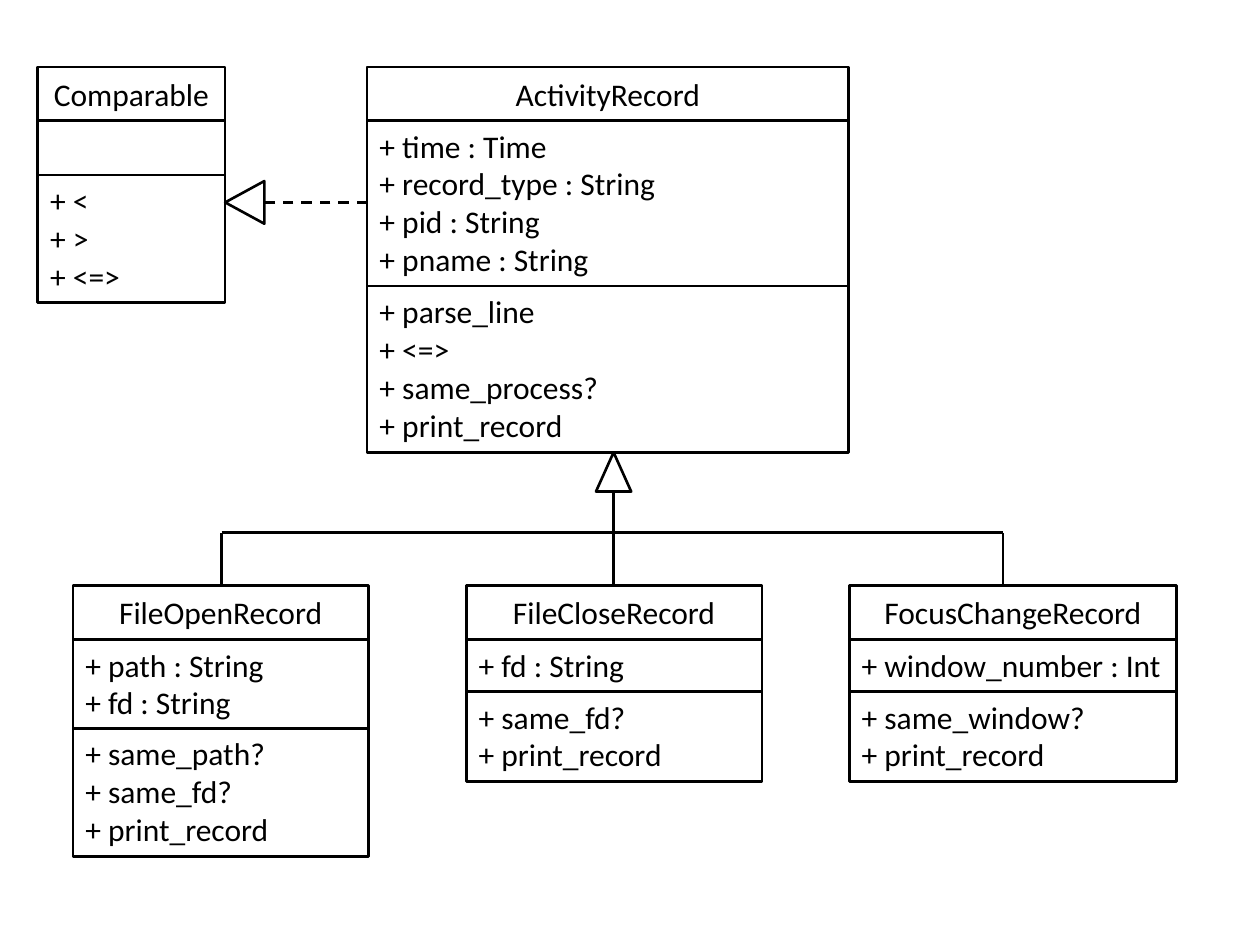
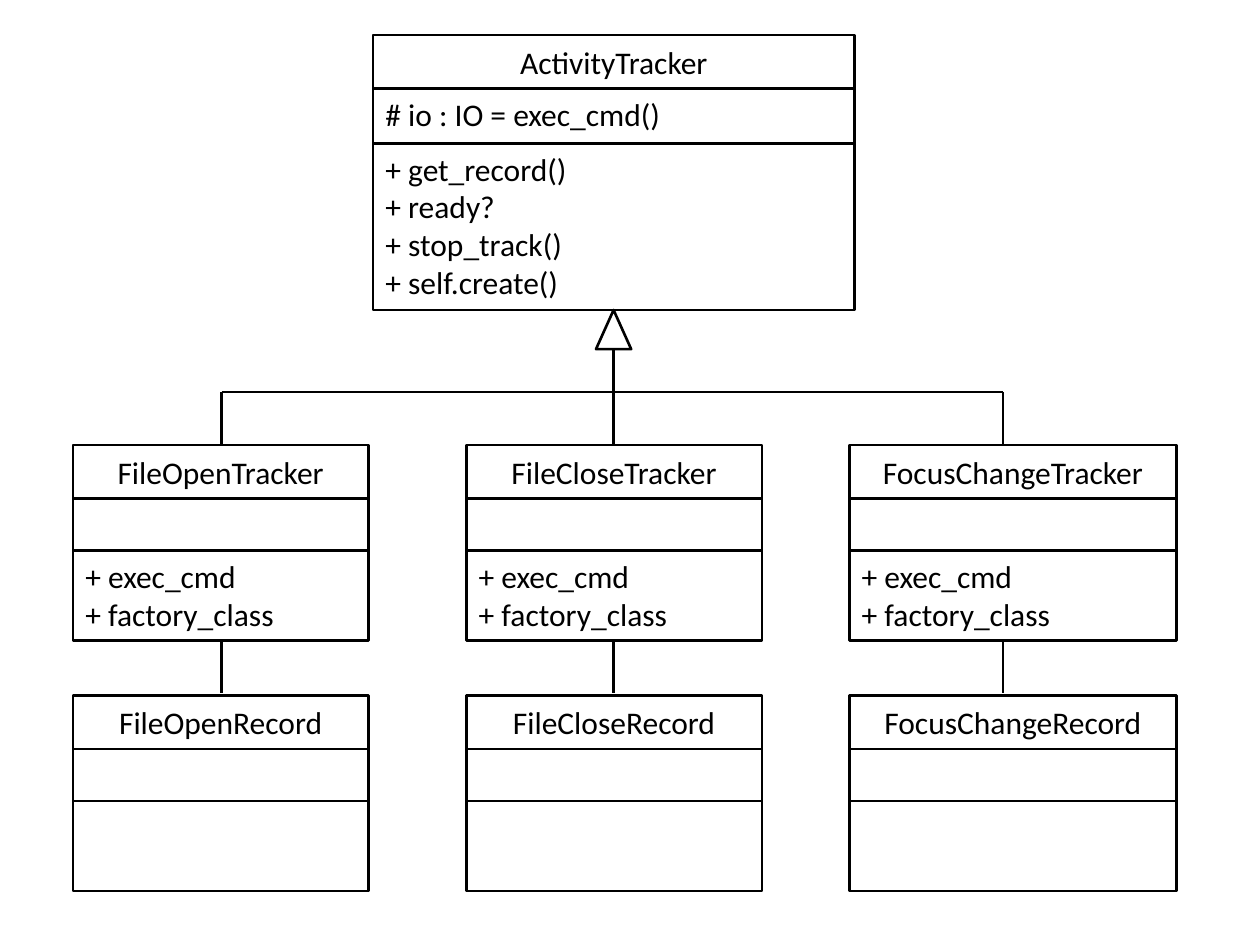
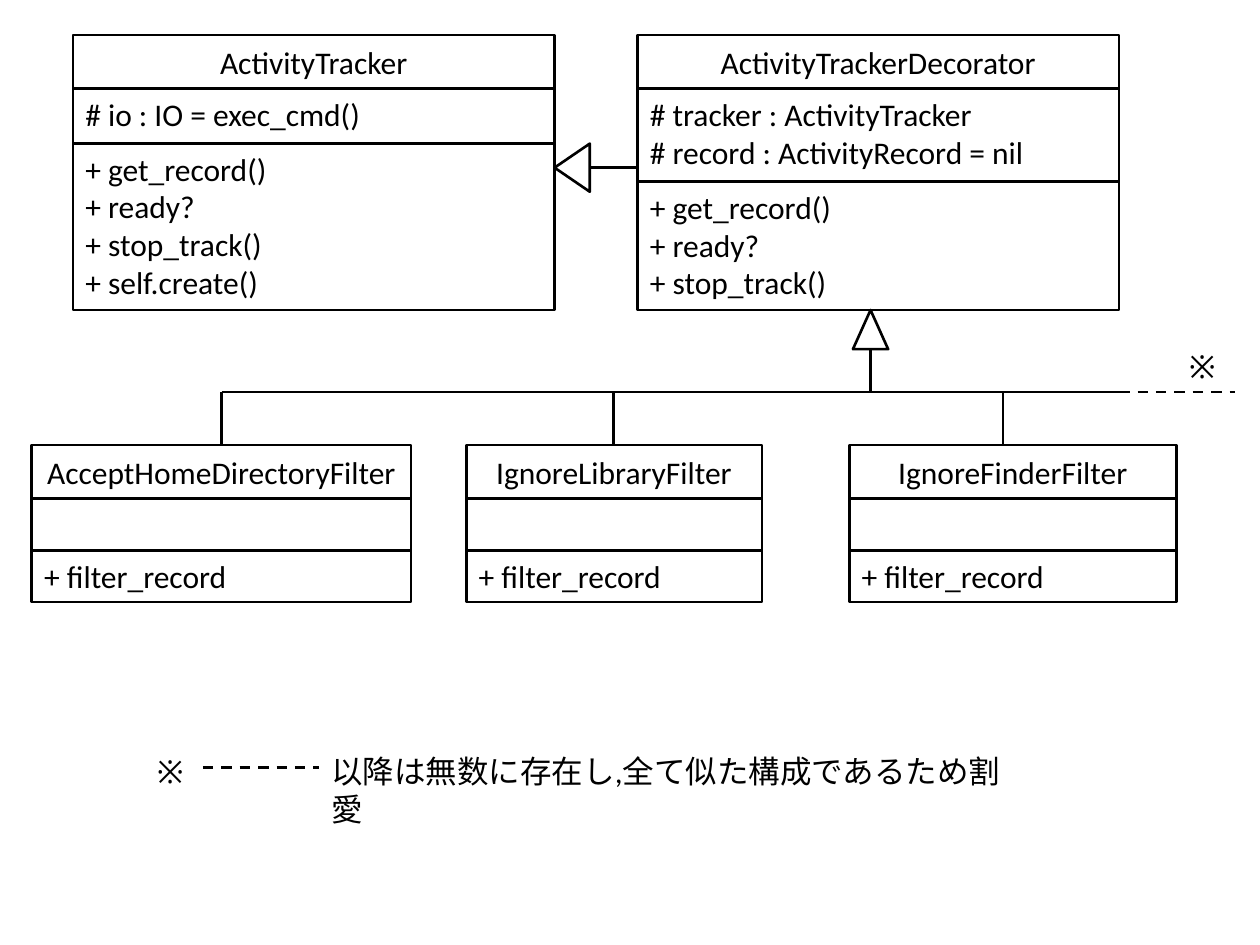
from collections import namedtuple

from lxml.etree import SubElement
from pptx import Presentation
from pptx.dml.color import RGBColor
from pptx.enum.dml import MSO_LINE
from pptx.enum.shapes import MSO_CONNECTOR, MSO_SHAPE
from pptx.enum.text import MSO_AUTO_SIZE, PP_ALIGN
from pptx.oxml.ns import qn
from pptx.util import Cm, Pt

BLACK = RGBColor(0x00, 0x00, 0x00)
WHITE = RGBColor(0xFF, 0xFF, 0xFF)
FONT = "Calibri"
FONT_SIZE = Pt(18)
LINE_WIDTH = Pt(1.5)

HEADER = 1.08
FIRST_LINE = 1.02
NEXT_LINE = 0.77
ONE_ATTRIBUTE = 2.13
ROOT_WIDTH, ROOT_HEIGHT = 9.71, 5.54
ROOT_TOP, CHILD_TOP, RECORD_TOP = 0.71, 8.97, 14.02
CHILD_HEIGHT = 3.94
BRANCHES = (4.47, 12.37, 20.22)
BUS_RISE = 1.07
ARROW_BASE, ARROW_HEIGHT = 0.71, 0.79

Box = namedtuple("Box", "left top width height")
Members = namedtuple("Members", "lines width")

EMPTY = Members((), 0)
COLUMNS = ((1.47, 5.96), (9.4, 5.96), (17.12, 6.6))
RECORD_NAMES = (
    Members(("FileOpenRecord",), 4.67),
    Members(("FileCloseRecord",), 4.65),
    Members(("FocusChangeRecord",), 5.79),
)
TRACKER_NAMES = (
    Members(("FileOpenTracker",), 4.78),
    Members(("FileCloseTracker",), 4.78),
    Members(("FocusChangeTracker",), 5.89),
)
FILTER_NAMES = (
    Members(("AcceptHomeDirectoryFilter",), 7.65),
    Members(("IgnoreLibraryFilter",), 5.33),
    Members(("IgnoreFinderFilter",), 5.21),
)


def style_line(line, dashed=False):
    line.color.rgb = BLACK
    line.width = LINE_WIDTH
    if dashed:
        line.dash_style = MSO_LINE.DASH


def add_line(page, x1, y1, x2, y2, dashed=False):
    connector = page.shapes.add_connector(
        MSO_CONNECTOR.STRAIGHT, Cm(x1), Cm(y1), Cm(x2), Cm(y2))
    style_line(connector.line, dashed)
    SubElement(connector._element.spPr, qn("a:effectLst"))


def add_outline(page, kind, box):
    shape = page.shapes.add_shape(kind, *map(Cm, box))
    shape.shadow.inherit = False
    shape.fill.background()
    style_line(shape.line)
    return shape


def add_text(page, left, top, members, align=PP_ALIGN.LEFT, wrap=False):
    height = FIRST_LINE + NEXT_LINE * (len(members.lines) - 1)
    frame = page.shapes.add_textbox(
        Cm(left), Cm(top), Cm(members.width), Cm(height)).text_frame
    frame.word_wrap = wrap
    frame.auto_size = MSO_AUTO_SIZE.SHAPE_TO_FIT_TEXT
    frame.text = "\n".join(members.lines)
    for para in frame.paragraphs:
        para.alignment = align
        for span in para.runs:
            span.font.name = FONT
            span.font.size = FONT_SIZE
            span.font.color.rgb = BLACK


def add_class(page, box, name, attributes, operations, split=ONE_ATTRIBUTE):
    add_outline(page, MSO_SHAPE.RECTANGLE, box)
    name_left = box.left + (box.width - name.width) / 2
    name_top = box.top + (HEADER - FIRST_LINE) / 2
    add_text(page, name_left, name_top, name, PP_ALIGN.CENTER)
    for offset, members in ((HEADER, attributes), (split, operations)):
        top = box.top + offset
        add_line(page, box.left, top, box.left + box.width, top)
        if members.lines:
            add_text(page, box.left, top, members)


def add_arrow(page, tip_x, tip_y, base=ARROW_BASE, height=ARROW_HEIGHT, rotation=0):
    center_x = tip_x + height / 2 if rotation else tip_x
    center_y = tip_y if rotation else tip_y + height / 2
    box = Box(center_x - base / 2, center_y - height / 2, base, height)
    arrow = add_outline(page, MSO_SHAPE.ISOSCELES_TRIANGLE, box)
    arrow.fill.solid()
    arrow.fill.fore_color.rgb = WHITE
    arrow.rotation = rotation


def add_tree(page, trunk, root_bottom, child_top):
    bus = child_top - BUS_RISE
    add_line(page, trunk, bus, trunk, root_bottom)
    add_arrow(page, trunk, root_bottom)
    for start, end in zip(BRANCHES, BRANCHES[1:]):
        add_line(page, start, bus, end, bus)
    for branch in BRANCHES:
        add_line(page, branch, bus, branch, child_top)
    return bus


def add_class_row(page, columns, top, height, names, operations):
    for (left, width), name in zip(columns, names):
        add_class(page, Box(left, top, width, height), name, EMPTY, operations)


def add_tracker(page, left):
    add_class(
        page, Box(left, ROOT_TOP, ROOT_WIDTH, ROOT_HEIGHT),
        Members(("ActivityTracker",), 4.39),
        Members(("# io : IO = exec_cmd()",), 6.15),
        Members(("+ get_record()", "+ ready?", "+ stop_track()", "+ self.create()"), 4.24),
        split=2.18)


def build_records(page):
    record = Box(7.4, 1.35, ROOT_WIDTH, 7.77)
    add_class(
        page, record, Members(("ActivityRecord",), 4.29),
        Members(("+ time : Time", "+ record_type : String",
                 "+ pid : String", "+ pname : String"), 6.15),
        Members(("+ parse_line", "+ <=>", "+ same_process?", "+ print_record"), 4.98),
        split=4.42)
    comparable = Box(0.76, 1.35, 3.78, 4.75)
    add_class(
        page, comparable, Members(("Comparable",), 3.68), EMPTY,
        Members(("+ <", "+ >", "+ <=>"), 1.93), split=2.18)
    tip_x = comparable.left + comparable.width
    add_line(page, record.left, 4.08, tip_x, 4.08, dashed=True)
    add_arrow(page, tip_x, 4.08, base=0.86, rotation=270)

    child_top = 11.81
    add_tree(page, BRANCHES[1], record.top + record.height, child_top)
    children = (
        (Members(("+ path : String", "+ fd : String"), 4.17),
         Members(("+ same_path?", "+ same_fd?", "+ print_record"), 4.27), 2.87, 5.46),
        (Members(("+ fd : String",), 3.48),
         Members(("+ same_fd?", "+ print_record"), 4.27), ONE_ATTRIBUTE, CHILD_HEIGHT),
        (Members(("+ window_number : Int",), 6.6),
         Members(("+ same_window?", "+ print_record"), 5.05), ONE_ATTRIBUTE, CHILD_HEIGHT),
    )
    for (left, width), name, child in zip(COLUMNS, RECORD_NAMES, children):
        attributes, operations, split, height = child
        add_class(page, Box(left, child_top, width, height),
                  name, attributes, operations, split)


def build_trackers(page):
    add_tree(page, BRANCHES[1], ROOT_TOP + ROOT_HEIGHT, CHILD_TOP)
    add_tracker(page, 7.52)
    add_class_row(page, COLUMNS, CHILD_TOP, CHILD_HEIGHT, TRACKER_NAMES,
                  Members(("+ exec_cmd", "+ factory_class"), 4.37))
    for branch in BRANCHES:
        add_line(page, branch, CHILD_TOP + CHILD_HEIGHT, branch, 13.97)
    add_class_row(page, COLUMNS, RECORD_TOP, CHILD_HEIGHT, RECORD_NAMES, EMPTY)


def build_filters(page):
    root_bottom = ROOT_TOP + ROOT_HEIGHT
    bus = add_tree(page, 17.55, root_bottom, CHILD_TOP)
    add_tracker(page, 1.47)
    decorator = Box(12.85, ROOT_TOP, ROOT_WIDTH, ROOT_HEIGHT)
    add_class(
        page, decorator, Members(("ActivityTrackerDecorator",), 7.04),
        Members(("# tracker : ActivityTracker", "# record : ActivityRecord = nil"), 8.18),
        Members(("+ get_record()", "+ ready?", "+ stop_track()"), 4.24),
        split=2.95)
    tip_x = 1.47 + ROOT_WIDTH
    add_line(page, tip_x, 3.38, decorator.left, 3.38)
    add_arrow(page, tip_x, 3.38, base=0.97, height=0.71, rotation=270)

    columns = ((0.64, 7.65),) + COLUMNS[1:]
    add_class_row(page, columns, CHILD_TOP, 3.17, FILTER_NAMES,
                  Members(("+ filter_record",), 4.24))
    bus_end = decorator.left + decorator.width
    add_line(page, BRANCHES[-1], bus, bus_end, bus)
    add_line(page, bus_end, bus, 24.89, bus, dashed=True)
    mark = Members(("※",), 1.14)
    add_text(page, 23.72, 6.88, mark)
    add_legend(page, 2.92, 15.04, mark)


def add_legend(page, left, top, mark):
    add_text(page, left, top, mark)
    add_line(page, left + 1.17, top + 0.43, left + 3.51, top + 0.43, dashed=True)
    note = Members(("以降は無数に存在し,全て似た構成であるため割愛".replace(",", ","),), 14.5)
    add_text(page, left + 3.51, top, note, wrap=True)


deck = Presentation()
deck.slide_width = Cm(25.4)
deck.slide_height = Cm(19.05)
for build in (build_records, build_trackers, build_filters):
    build(deck.slides.add_slide(deck.slide_layouts[6]))
deck.save("out.pptx")
